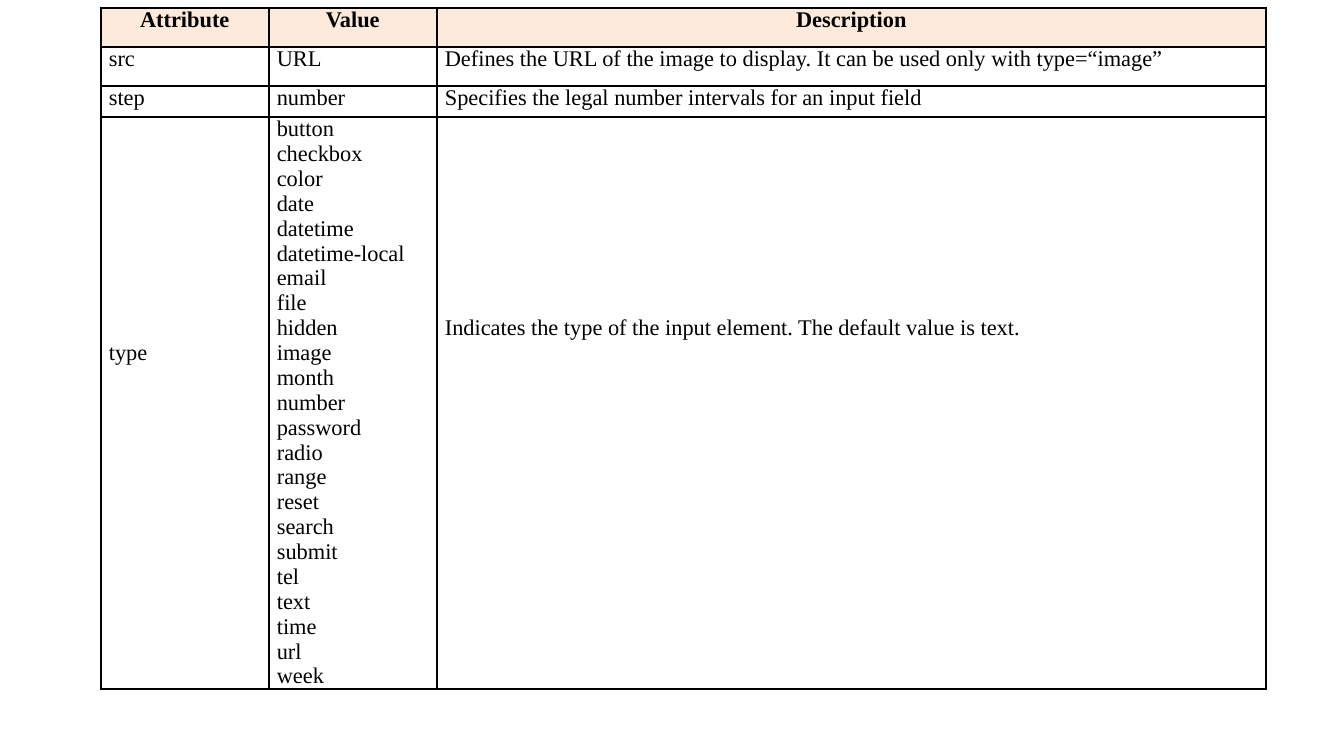
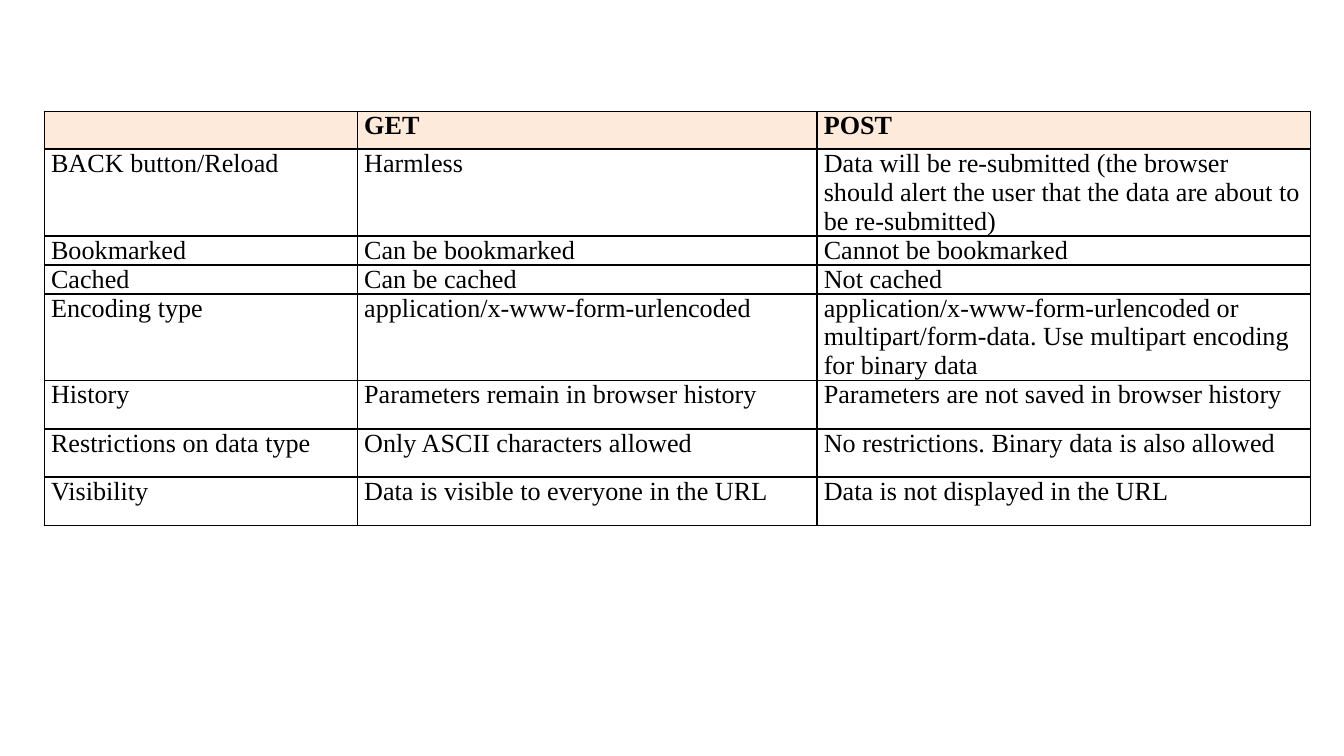
from copy import deepcopy

from lxml.etree import SubElement
from pptx import Presentation
from pptx.dml.color import RGBColor
from pptx.enum.text import PP_ALIGN
from pptx.oxml.ns import qn
from pptx.util import Inches, Pt

INK = "000000"
HEADER_FILL = "FDEADA"
FONT = "Times New Roman"
LINE_HEIGHT = 0.185

INPUT_TYPES = """button checkbox color date datetime datetime-local email file
hidden image month number password radio range reset search submit tel text
time url week""".split()

ATTRIBUTE_ROWS = [
    ["Attribute", "Value", "Description"],
    ["src", "URL", "Defines the URL of the image to display. It can be used only with type=“image”"],
    ["step", "number", "Specifies the legal number intervals for an input field"],
    ["type", "\v".join(INPUT_TYPES),
     "Indicates the type of the input element. The default value is text."],
]

METHOD_ROWS = [
    ["", "GET", "POST"],
    ["BACK button/Reload", "Harmless",
     "Data will be re-submitted (the browser should alert the user that the data "
     "are about to be re-submitted)"],
    ["Bookmarked", "Can be bookmarked", "Cannot be bookmarked"],
    ["Cached", "Can be cached", "Not cached"],
    ["Encoding type", "application/x-www-form-urlencoded",
     "application/x-www-form-urlencoded or multipart/form-data. "
     "Use multipart encoding for binary data"],
    ["History", "Parameters remain in browser history",
     "Parameters are not saved in browser history"],
    ["Restrictions on data type", "Only ASCII characters allowed",
     "No restrictions. Binary data is also allowed"],
    ["Visibility", "Data is visible to everyone in the URL",
     "Data is not displayed in the URL"],
]


def color(value):
    return RGBColor.from_string(value)


def set_values(target, values):
    for name, value in values.items():
        setattr(target, name, value)


def add_borders(cell):
    properties = cell._tc.get_or_add_tcPr()
    for index, side in enumerate(("lnL", "lnR", "lnT", "lnB")):
        line = SubElement(properties, qn(f"a:{side}"), w=str(Pt(1)))
        fill = SubElement(line, qn("a:solidFill"))
        SubElement(fill, qn("a:srgbClr"), val=INK)
        properties.insert(index, line)


def format_breaks(para):
    for line_break in para._p.findall(qn("a:br")):
        line_break.append(deepcopy(para.runs[0]._r.rPr))


def fill_cell(cell, text, size, inset, is_header, align):
    set_values(cell, {
        "text": text,
        "margin_left": Inches(inset),
        "margin_right": Inches(inset),
        "margin_top": 0,
        "margin_bottom": 0,
    })
    if is_header:
        cell.fill.solid()
        cell.fill.fore_color.rgb = color(HEADER_FILL)
    else:
        cell.fill.background()
    add_borders(cell)
    para = cell.text_frame.paragraphs[0]
    para.alignment = align
    for span in para.runs:
        set_values(span.font, {"name": FONT, "size": Pt(size), "bold": is_header})
        span.font.color.rgb = color(INK)
    format_breaks(para)
    if not text:
        SubElement(para._p, qn("a:endParaRPr"), sz=str(size * 100))


def add_grid(page, box, rows, widths, heights, size, inset, header_align):
    left, top = box
    frame = page.shapes.add_table(
        len(rows), len(widths), Inches(left), Inches(top),
        Inches(sum(widths)), Inches(sum(heights)))
    table = frame.table
    for column, width in zip(table.columns, widths):
        column.width = Inches(width)
    for row, height in zip(table.rows, heights):
        row.height = Inches(height)
    for row_index, texts in enumerate(rows):
        is_header = row_index == 0
        align = header_align if is_header else PP_ALIGN.LEFT
        for column_index, text in enumerate(texts):
            fill_cell(table.cell(row_index, column_index), text, size, inset, is_header, align)
    return table


def build_attribute_page(page, box):
    table = add_grid(page, box, ATTRIBUTE_ROWS, [1.25, 1.25, 6.17],
                     [0.29, 0.29, 0.23, 4.12], 12, 0.06, PP_ALIGN.CENTER)
    for column_index, lines_above in ((0, 9), (2, 8)):
        table.cell(3, column_index).margin_top = Inches(lines_above * LINE_HEIGHT)


def build_method_page(page, box):
    add_grid(page, box, METHOD_ROWS, [2.33, 3.42, 3.67],
             [0.28, 0.54, 0.18, 0.18, 0.54, 0.36, 0.36, 0.36], 14, 0.05, PP_ALIGN.LEFT)


def main():
    deck = Presentation()
    width = Inches(10)
    set_values(deck, {"slide_width": width, "slide_height": width * 9 // 16})
    blank = deck.slide_layouts[6]
    build_attribute_page(deck.slides.add_slide(blank), (0.75, 0.06))
    build_method_page(deck.slides.add_slide(blank), (0.33, 0.83))
    deck.save("out.pptx")


if __name__ == "__main__":
    main()
